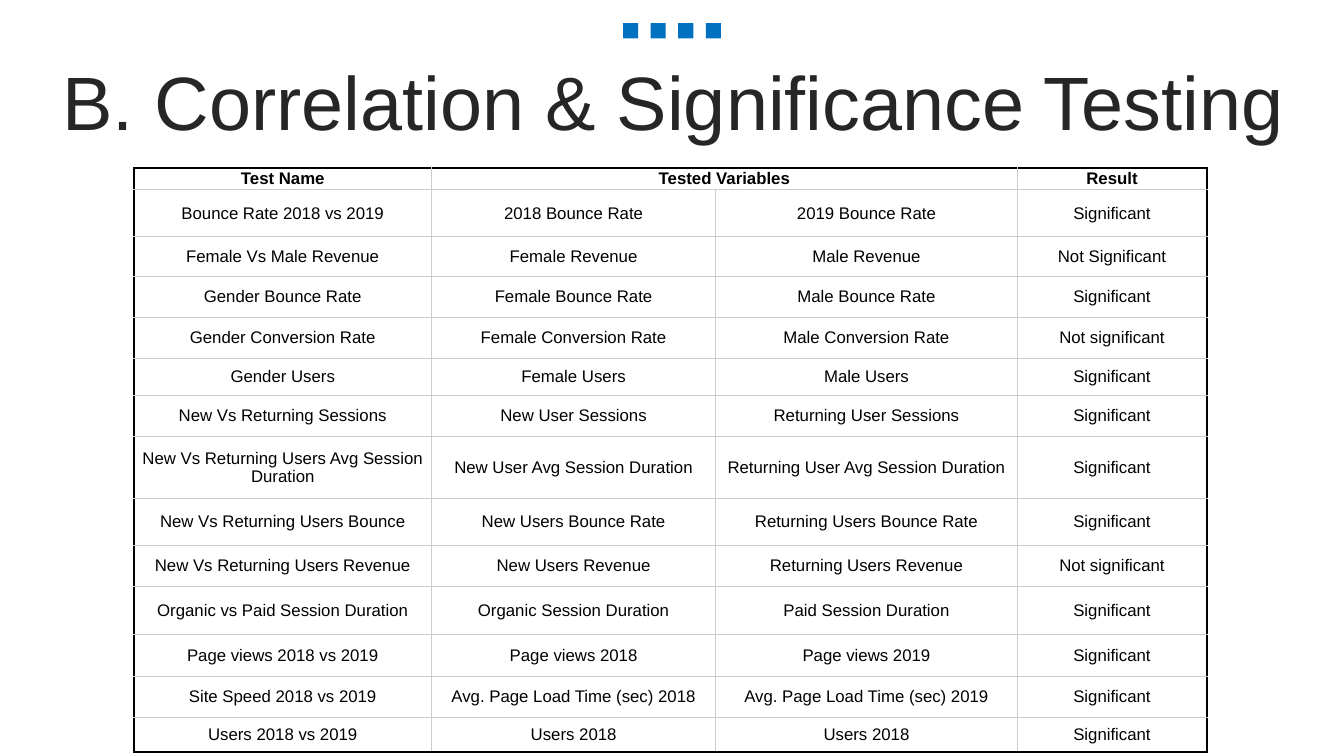
from dataclasses import dataclass

import lxml.etree
import pptx
import pptx.dml.color
import pptx.enum.shapes
import pptx.enum.text
import pptx.oxml.ns
import pptx.presentation
import pptx.slide
import pptx.table
import pptx.text.text
import pptx.util

Inches = pptx.util.Inches
Pt = pptx.util.Pt
RGBColor = pptx.dml.color.RGBColor

BLUE = RGBColor(0x00, 0x70, 0xC0)
CHARCOAL = RGBColor(0x26, 0x26, 0x26)
BLACK = RGBColor(0x00, 0x00, 0x00)
GREY = RGBColor(0xCC, 0xCC, 0xCC)
FONT = "Arial"

COLUMN_WIDTHS = [2.95, 2.82, 2.99, 1.88]
HEADER_HEIGHT = 0.21


@dataclass(frozen=True)
class Test:
    height: float
    name: str
    first: str
    second: str
    result: str = "Significant"


@dataclass(frozen=True)
class Border:
    color: RGBColor
    width: float


FRAME = Border(BLACK, 1.5)
RULE = Border(GREY, 0.75)

TESTS = [
    Test(0.47, "Bounce Rate 2018 vs 2019", "2018 Bounce Rate", "2019 Bounce Rate"),
    Test(0.39, "Female Vs Male Revenue", "Female Revenue", "Male Revenue", "Not Significant"),
    Test(0.41, "Gender Bounce Rate", "Female Bounce Rate", "Male Bounce Rate"),
    Test(0.41, "Gender Conversion Rate", "Female Conversion Rate", "Male Conversion Rate",
         "Not significant"),
    Test(0.36, "Gender Users", "Female Users", "Male Users"),
    Test(0.41, "New Vs Returning Sessions", "New User Sessions", "Returning User Sessions"),
    Test(0.62, "New Vs Returning Users Avg Session Duration", "New User Avg Session Duration",
         "Returning User Avg Session Duration"),
    Test(0.46, "New Vs Returning Users Bounce", "New Users Bounce Rate",
         "Returning Users Bounce Rate"),
    Test(0.41, "New Vs Returning Users Revenue", "New Users Revenue",
         "Returning Users Revenue", "Not significant"),
    Test(0.48, "Organic vs Paid Session Duration", "Organic Session Duration",
         "Paid Session Duration"),
    Test(0.41, "Page views 2018 vs 2019", "Page views 2018", "Page views 2019"),
    Test(0.41, "Site Speed 2018 vs 2019", "Avg. Page Load Time (sec) 2018",
         "Avg. Page Load Time (sec) 2019"),
    Test(0.34, "Users 2018 vs 2019", "Users 2018", "Users 2018"),
]


def style_paragraph(paragraph: pptx.text.text._Paragraph, size: float, color: RGBColor,
                    bold: bool = False) -> None:
    paragraph.alignment = pptx.enum.text.PP_ALIGN.CENTER
    paragraph.font.name = FONT
    paragraph.font.size = Pt(size)
    paragraph.font.bold = bold
    paragraph.font.color.rgb = color


def draw_marks(slide: pptx.slide.Slide) -> None:
    for index in range(4):
        mark = slide.shapes.add_shape(
            pptx.enum.shapes.MSO_SHAPE.RECTANGLE,
            Inches(6.18 + index * 0.82 / 3), Inches(0.23), Inches(0.15), Inches(0.15))
        mark.shadow.inherit = False
        mark.fill.solid()
        mark.fill.fore_color.rgb = BLUE
        mark.line.fill.background()


def draw_heading(slide: pptx.slide.Slide) -> None:
    heading = slide.shapes.title
    heading.left, heading.top = Inches(0.35), Inches(0.66)
    heading.width, heading.height = Inches(12.66), Inches(0.79)
    frame = heading.text_frame
    frame.text = "B. Correlation & Significance Testing"
    frame.word_wrap = True
    frame.auto_size = pptx.enum.text.MSO_AUTO_SIZE.NONE
    frame.vertical_anchor = pptx.enum.text.MSO_ANCHOR.MIDDLE
    style_paragraph(frame.paragraphs[0], 54, CHARCOAL)
    frame.paragraphs[0].line_spacing = 0.9


def set_borders(cell: pptx.table._Cell, borders: dict[str, Border]) -> None:
    properties = cell._tc.get_or_add_tcPr()
    qn = pptx.oxml.ns.qn
    for position, (side, border) in enumerate(borders.items()):
        line = lxml.etree.Element(qn(f"a:ln{side}"), w=str(Pt(border.width)))
        fill = lxml.etree.SubElement(line, qn("a:solidFill"))
        lxml.etree.SubElement(fill, qn("a:srgbClr"), val=str(border.color))
        properties.insert(position, line)


def fill_cell(cell: pptx.table._Cell, text: str, bold: bool) -> None:
    cell.text = text
    cell.fill.background()
    cell.vertical_anchor = pptx.enum.text.MSO_ANCHOR.MIDDLE
    cell.margin_left = cell.margin_right = Inches(0.02)
    cell.margin_top = cell.margin_bottom = 0
    style_paragraph(cell.text_frame.paragraphs[0], 12, BLACK, bold)


def draw_results(slide: pptx.slide.Slide) -> None:
    rows = [("Test Name", "Tested Variables", "", "Result")]
    rows += [(test.name, test.first, test.second, test.result) for test in TESTS]
    heights = [HEADER_HEIGHT] + [test.height for test in TESTS]
    results = slide.shapes.add_table(
        len(rows), len(COLUMN_WIDTHS), Inches(1.33), Inches(1.67),
        Inches(sum(COLUMN_WIDTHS)), Inches(sum(heights))).table
    results.first_row = results.horz_banding = False
    for column, width in zip(results.columns, COLUMN_WIDTHS):
        column.width = Inches(width)
    last_row, last_column = len(rows) - 1, len(COLUMN_WIDTHS) - 1
    for r, (texts, height) in enumerate(zip(rows, heights)):
        results.rows[r].height = Inches(height)
        for c, text in enumerate(texts):
            cell = results.cell(r, c)
            fill_cell(cell, text, bold=r == 0)
            set_borders(cell, {
                "L": FRAME if c == 0 else RULE,
                "R": FRAME if c == last_column else RULE,
                "T": FRAME if r == 0 else RULE,
                "B": FRAME if r == last_row else RULE,
            })
    results.cell(0, 1).merge(results.cell(0, 2))


def main() -> None:
    deck = pptx.Presentation()
    deck.slide_width, deck.slide_height = Inches(13.33), Inches(7.5)
    slide = deck.slides.add_slide(deck.slide_layouts[5])
    draw_marks(slide)
    draw_heading(slide)
    draw_results(slide)
    deck.save("out.pptx")


if __name__ == "__main__":
    main()
